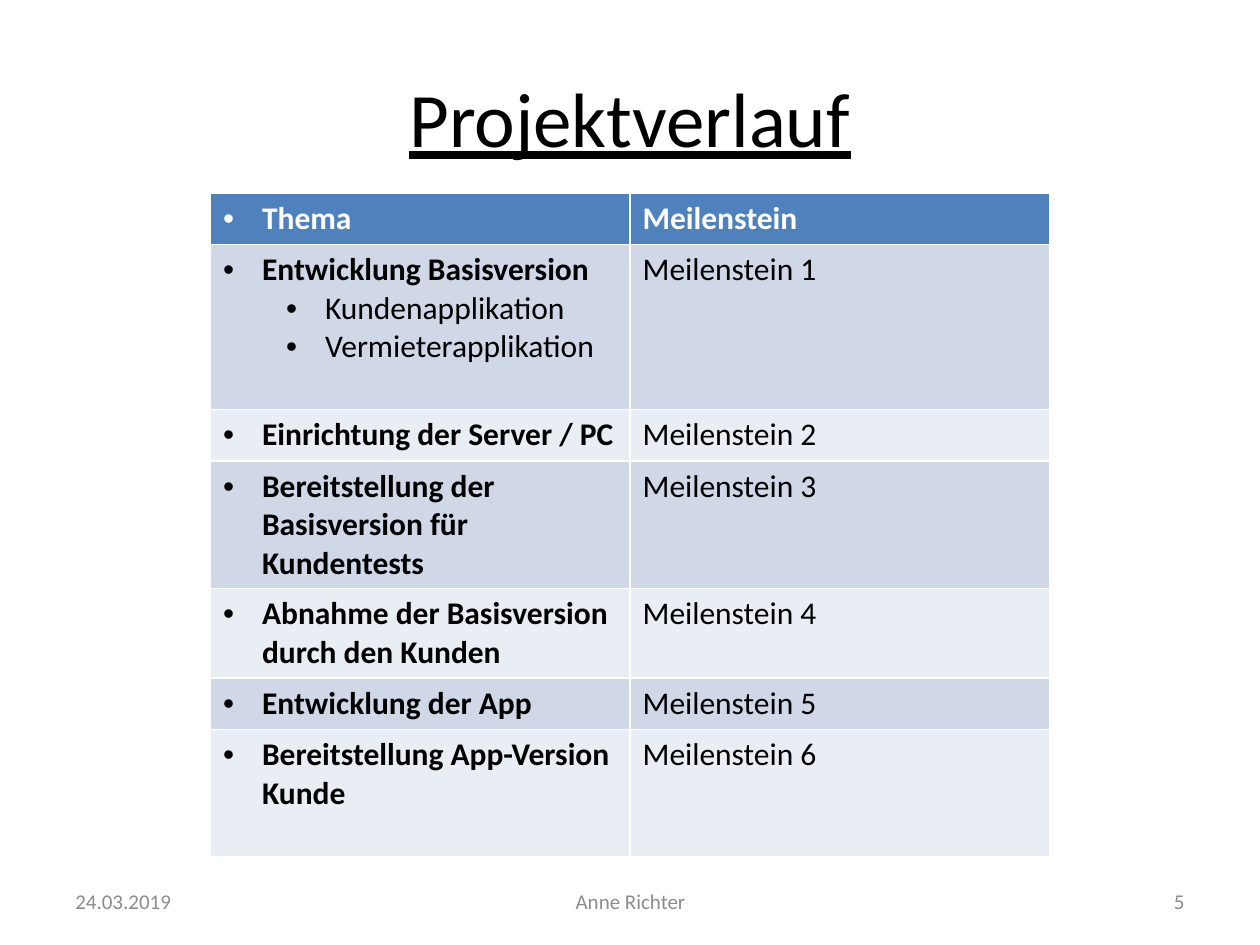
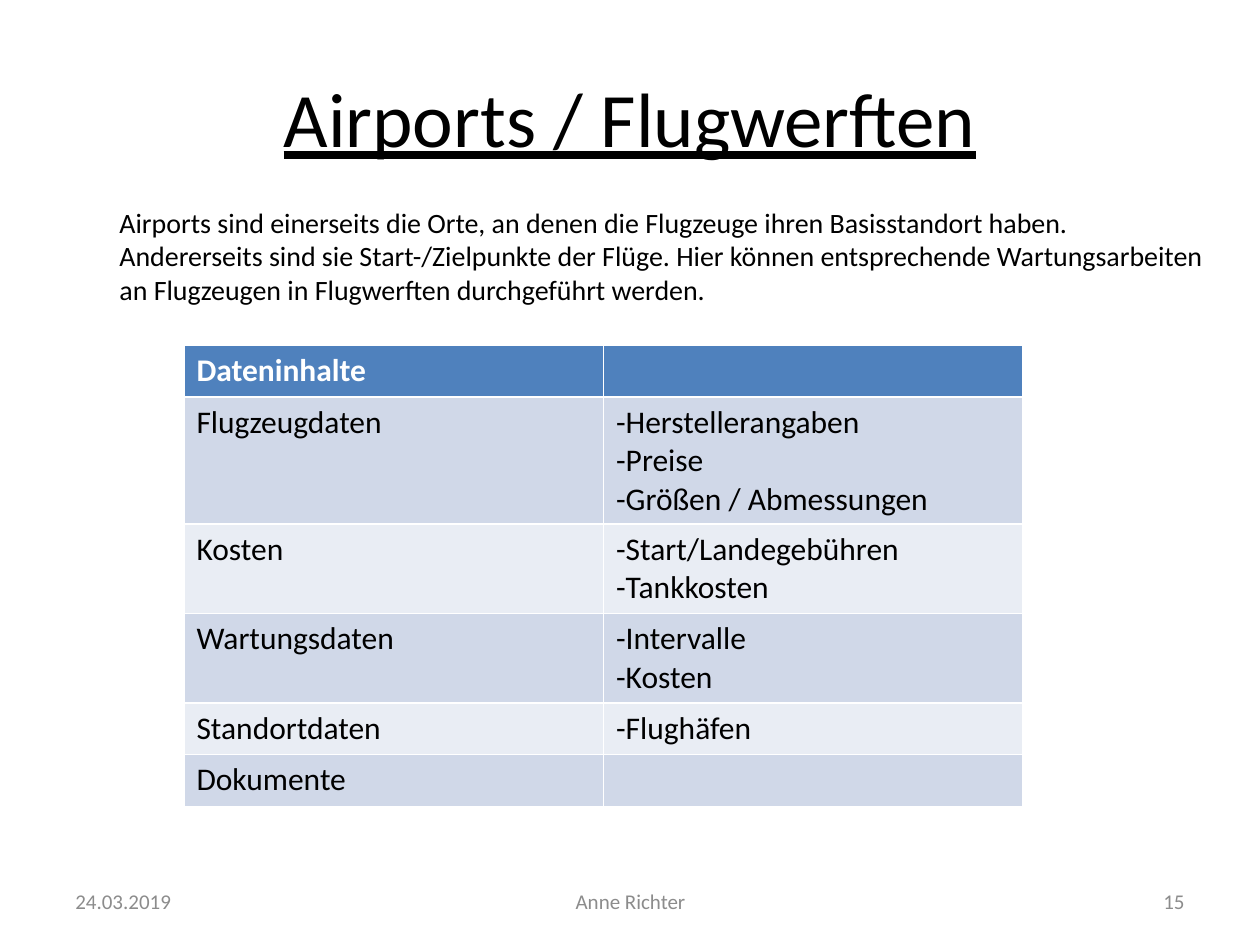
from lxml.etree import SubElement
from pptx import Presentation
from pptx.dml.color import RGBColor
from pptx.enum.text import MSO_ANCHOR, PP_ALIGN
from pptx.oxml.ns import qn
from pptx.util import Inches, Pt

COLORS = {
    "ink": "000000",
    "head": "4F81BD",
    "light": "FFFFFF",
    "odd": "D0D8E8",
    "even": "E9EDF4",
    "foot": "8C8C8C",
}
FONT = "Calibri"
COLUMN = 3.33
LINE = 0.3
PADDING = 0.11

PLAN = [
    ("Thema", "Meilenstein", 1),
    ("Entwicklung Basisversion\nKundenapplikation\nVermieterapplikation", "Meilenstein 1", 4),
    ("Einrichtung der Server / PC", "Meilenstein 2", 1),
    ("Bereitstellung der Basisversion für Kundentests", "Meilenstein 3", 3),
    ("Abnahme der Basisversion durch den Kunden", "Meilenstein 4", 2),
    ("Entwicklung der App", "Meilenstein 5", 1),
    ("Bereitstellung App-Version Kunde", "Meilenstein 6", 3),
]
DATA = [
    ("Dateninhalte", "", 1),
    ("Flugzeugdaten", "-Herstellerangaben\n-Preise\n-Größen / Abmessungen", 3),
    ("Kosten", "-Start/Landegebühren\n-Tankkosten", 2),
    ("Wartungsdaten", "-Intervalle\n-Kosten", 2),
    ("Standortdaten", "-Flughäfen", 1),
    ("Dokumente", "", 1),
]
INTRO = (
    "Airports sind einerseits die Orte, an denen die Flugzeuge ihren Basisstandort haben. "
    "Andererseits sind sie Start-/Zielpunkte der Flüge. Hier können entsprechende "
    "Wartungsarbeiten an Flugzeugen in Flugwerften durchgeführt werden."
)


def style(para, size, color, bold=False, line=False):
    for run in para.runs:
        font = run.font
        font.name = FONT
        font.size = Pt(size)
        font.bold = bold
        font.underline = line
        font.color.rgb = RGBColor.from_string(COLORS[color])


def indent(para, left, first=0):
    props = para._p.get_or_add_pPr()
    props.set("marL", str(Inches(left)))
    props.set("indent", str(Inches(first)))
    return props


def bullet(para, left):
    props = indent(para, left, -0.31)
    SubElement(props, qn("a:buFont")).set("typeface", "Arial")
    SubElement(props, qn("a:buChar")).set("char", "•")


def add_text(slide, text, box, size, color, align=PP_ALIGN.LEFT, anchor=MSO_ANCHOR.TOP):
    frame = slide.shapes.add_textbox(*map(Inches, box)).text_frame
    frame.word_wrap = True
    frame.vertical_anchor = anchor
    frame.text = text
    para = frame.paragraphs[0]
    para.alignment = align
    style(para, size, color)
    return para


def add_slide(deck, title, number):
    slide = deck.slides.add_slide(deck.slide_layouts[5])
    head = slide.shapes.title
    head.left, head.top, head.width, head.height = map(Inches, (0.5, 0.3, 9, 1.25))
    head.text_frame.text = title
    head.text_frame.vertical_anchor = MSO_ANCHOR.MIDDLE
    para = head.text_frame.paragraphs[0]
    para.alignment = PP_ALIGN.CENTER
    style(para, 44, "ink", line=True)
    for text, left, width, align in (
        ("24.03.2019", 0.5, 2.33, PP_ALIGN.LEFT),
        ("Anne Richter", 3.42, 3.17, PP_ALIGN.CENTER),
        (str(number), 7.17, 2.33, PP_ALIGN.RIGHT),
    ):
        add_text(slide, text, (left, 6.95, width, 0.4), 12, "foot", align, MSO_ANCHOR.MIDDLE)
    return slide


def fill_cell(cell, text, row, listed):
    shade = "head" if row == 0 else "odd" if row % 2 else "even"
    cell.fill.solid()
    cell.fill.fore_color.rgb = RGBColor.from_string(COLORS[shade])
    cell.text_frame.text = text
    for index, para in enumerate(cell.text_frame.paragraphs):
        style(para, 18, "ink" if row else "light", row == 0 or (listed and index == 0))
        if listed:
            para.level = min(index, 1)
            bullet(para, 0.31 + 0.5 * para.level)


def add_grid(slide, rows, left, top, listed=False):
    tall = [PADDING + LINE * lines for *_, lines in rows]
    grid = slide.shapes.add_table(
        len(rows), 2, Inches(left), Inches(top), Inches(2 * COLUMN), Inches(sum(tall))
    ).table
    for column in grid.columns:
        column.width = Inches(COLUMN)
    for row, (topic, detail, _) in enumerate(rows):
        grid.rows[row].height = Inches(tall[row])
        fill_cell(grid.cell(row, 0), topic, row, listed)
        fill_cell(grid.cell(row, 1), detail, row, False)


def main():
    deck = Presentation()
    deck.slide_width, deck.slide_height = Inches(10), Inches(7.5)

    course = add_slide(deck, "Projektverlauf", 5)
    add_grid(course, PLAN, 1.67, 1.53, listed=True)

    airports = add_slide(deck, "Airports / Flugwerften", 15)
    add_grid(airports, DATA, 1.46, 2.74)
    intro = add_text(airports, INTRO, (0.35, 1.58, 9.37, 1.18), 16, "ink")
    indent(intro, 0.5)

    deck.save("out.pptx")


if __name__ == "__main__":
    main()
